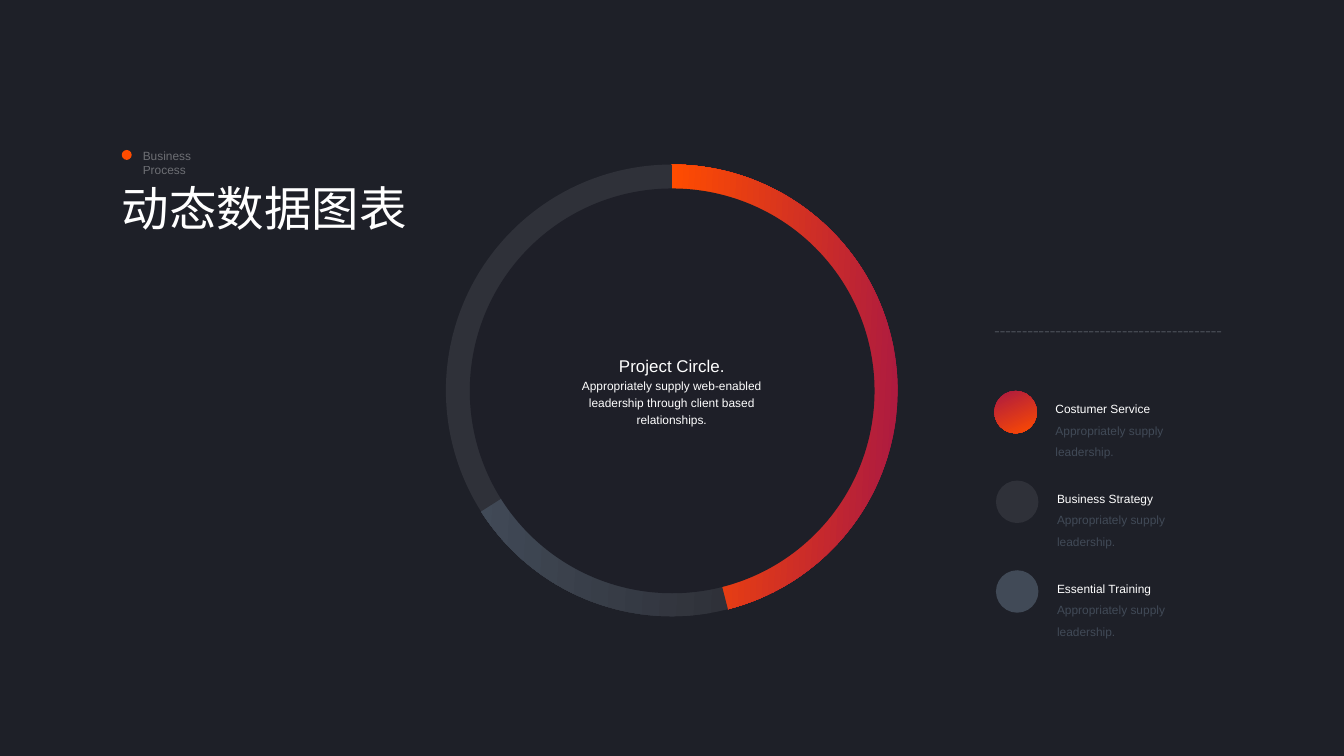
from lxml.etree import SubElement
from pptx import Presentation
from pptx.chart.data import CategoryChartData
from pptx.dml.color import RGBColor
from pptx.enum.chart import XL_CHART_TYPE
from pptx.enum.dml import MSO_LINE
from pptx.enum.shapes import MSO_CONNECTOR, MSO_SHAPE
from pptx.enum.text import MSO_AUTO_SIZE, PP_ALIGN
from pptx.oxml import parse_xml
from pptx.oxml.ns import nsdecls, qn
from pptx.util import Cm, Pt

COLORS = {
    "back": "1E2028", "disc": "1E1F28", "white": "FFFFFF", "pale": "DCDDDF",
    "red": "AB1942", "orange": "FF4C00", "dark": "2F3139", "slate": "414A57",
    "rule": "B9C6D1",
}
SMALL = 8.5


def rgb(name):
    return RGBColor.from_string(COLORS[name])


def set_alpha(element, percent):
    for clr in element.iter(qn("a:srgbClr")):
        SubElement(clr, qn("a:alpha")).set("val", str(percent * 1000))


def paint(fill, color):
    """Fill with a colour name, or with (start, end, clockwise angle)."""
    if isinstance(color, str):
        fill.solid()
        fill.fore_color.rgb = rgb(color)
        return
    *ends, angle = color
    fill.gradient()
    fill.gradient_angle = 360 - angle
    for stop, name in zip(fill.gradient_stops, ends):
        stop.color.rgb = rgb(name)


class Deck:
    def __init__(self):
        self.prs = Presentation()
        self.prs.slide_width, self.prs.slide_height = Cm(33.87), Cm(19.05)
        self.s = self.prs.slides.add_slide(self.prs.slide_layouts[6])
        paint(self.s.background.fill, "back")

    def circle(self, x, y, size, color, parent=None):
        shapes = (parent or self.s).shapes
        sp = shapes.add_shape(MSO_SHAPE.OVAL, Cm(x), Cm(y), Cm(size), Cm(size))
        sp.shadow.inherit = False
        sp.line.fill.background()
        paint(sp.fill, color)

    def text(self, x, y, w, h, lines, spacing=None, align=PP_ALIGN.LEFT,
             font="Arial", wrap=True, alpha=None, parent=None):
        """Each line is (text, size, colour name)."""
        sp = (parent or self.s).shapes.add_textbox(Cm(x), Cm(y), Cm(w), Cm(h))
        tf = sp.text_frame
        tf.word_wrap = wrap
        tf.auto_size = MSO_AUTO_SIZE.SHAPE_TO_FIT_TEXT
        tf.margin_left = tf.margin_right = tf.margin_top = tf.margin_bottom = 0
        for i, (words, size, color) in enumerate(lines):
            p = tf.add_paragraph() if i else tf.paragraphs[0]
            p.alignment = align
            p.line_spacing = spacing
            r = p.add_run()
            r.text = words
            r.font.size = Pt(size)
            r.font.color.rgb = rgb(color)
            r.font.name = font
            SubElement(r.font._element, qn("a:ea")).set("typeface", font)
        if alpha:
            set_alpha(sp._element, alpha)

    def pie(self, x, y, size, values, colors):
        data = CategoryChartData()
        data.categories = [str(i + 1) for i in range(len(values))]
        data.add_series("Series 1", values)
        chart = self.s.shapes.add_chart(
            XL_CHART_TYPE.PIE, Cm(x), Cm(y), Cm(size), Cm(size), data).chart
        chart.has_legend = chart.has_title = False
        chart.font.name, chart.font.size = "Arial", Pt(10)
        plot = chart.plots[0]
        plot.vary_by_categories = False
        for i, color in enumerate(colors):
            fmt = plot.series[0].points[i].format
            paint(fmt.fill, color)
            fmt.line.fill.background()
        # Let the pie fill its frame
        area = chart._chartSpace.chart.plotArea
        for layout in area.findall(qn("c:layout")):
            area.remove(layout)
        area.insert(0, parse_xml(
            f'<c:layout {nsdecls("c")}><c:manualLayout>'
            '<c:layoutTarget val="inner"/>'
            '<c:xMode val="edge"/><c:yMode val="edge"/>'
            '<c:x val="0.005"/><c:y val="0.005"/>'
            '<c:w val="0.99"/><c:h val="0.99"/>'
            '</c:manualLayout></c:layout>'))

    def dashed_rule(self, x1, x2, y, color, alpha):
        ln = self.s.shapes.add_connector(
            MSO_CONNECTOR.STRAIGHT, Cm(x1), Cm(y), Cm(x2), Cm(y))
        ln.line.width = Pt(1)
        ln.line.color.rgb = rgb(color)
        ln.line.dash_style = MSO_LINE.SQUARE_DOT
        set_alpha(ln._element.spPr, alpha)
        SubElement(ln._element.spPr, qn("a:effectLst"))

    def legend_row(self, x, y, name, color):
        group = self.s.shapes.add_group_shape()
        self.circle(x, y, 1.07, color, group)
        self.text(x + 1.54, y + 0.1, 4.15, 1.04,
                  [(name, SMALL, "white"),
                   ("Appropriately supply leadership.", SMALL, "slate")],
                  spacing=1.5, parent=group)


def main():
    deck = Deck()

    # Ring: pie with a disc over its centre
    deck.pie(11.18, 4.09, 11.5, (46, 20, 34),
             [("red", "orange", 183), ("dark", "slate", 183), "dark"])
    deck.circle(11.84, 4.75, 10.2, "disc")
    deck.text(14.58, 8.86, 4.7, 1.9,
              [("Project Circle.", 12.1, "white"),
               ("Appropriately supply web-enabled leadership through "
                "client based relationships.", SMALL, "white")],
              spacing=1.2, align=PP_ALIGN.CENTER)

    # Heading
    deck.text(3.07, 4.52, 7.26, 1.45, [("动态数据图表", 33.9, "white")],
              font="Noto Sans CJK JP", wrap=False)
    deck.text(3.6, 3.74, 2.06, 0.36, [("Business Process", SMALL, "pale")],
              alpha=42)
    deck.circle(3.07, 3.78, 0.25, "orange")

    # Legend
    deck.dashed_rule(25.07, 30.78, 8.36, "rule", 24)
    rows = [(25.06, "Costumer Service", ("red", "orange", 66)),
            (25.1, "Business Strategy", "dark"),
            (25.1, "Essential Training", "slate")]
    for i, (x, name, color) in enumerate(rows):
        deck.legend_row(x, 9.85 + i * 2.26, name, color)

    deck.prs.save("out.pptx")


if __name__ == "__main__":
    main()
